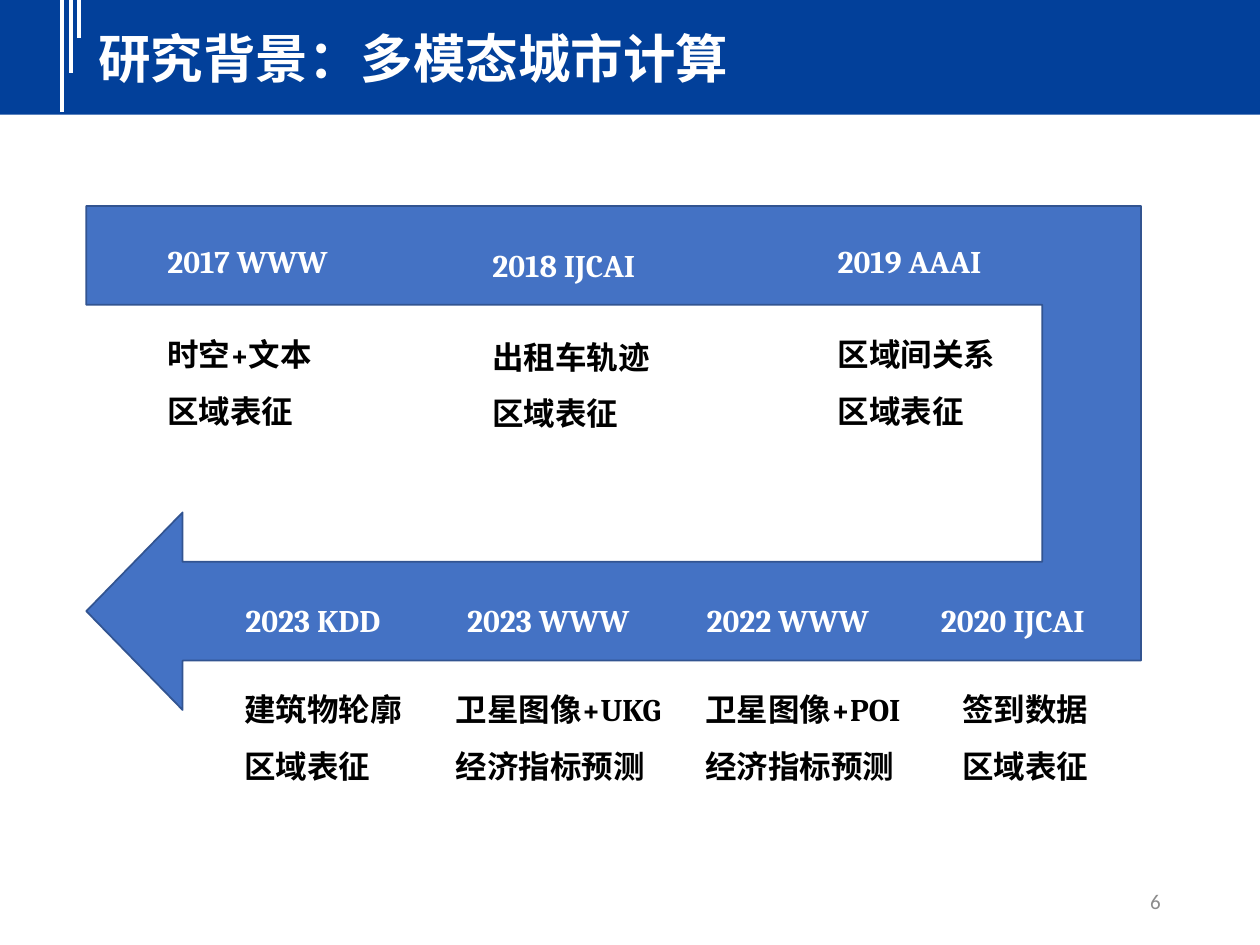
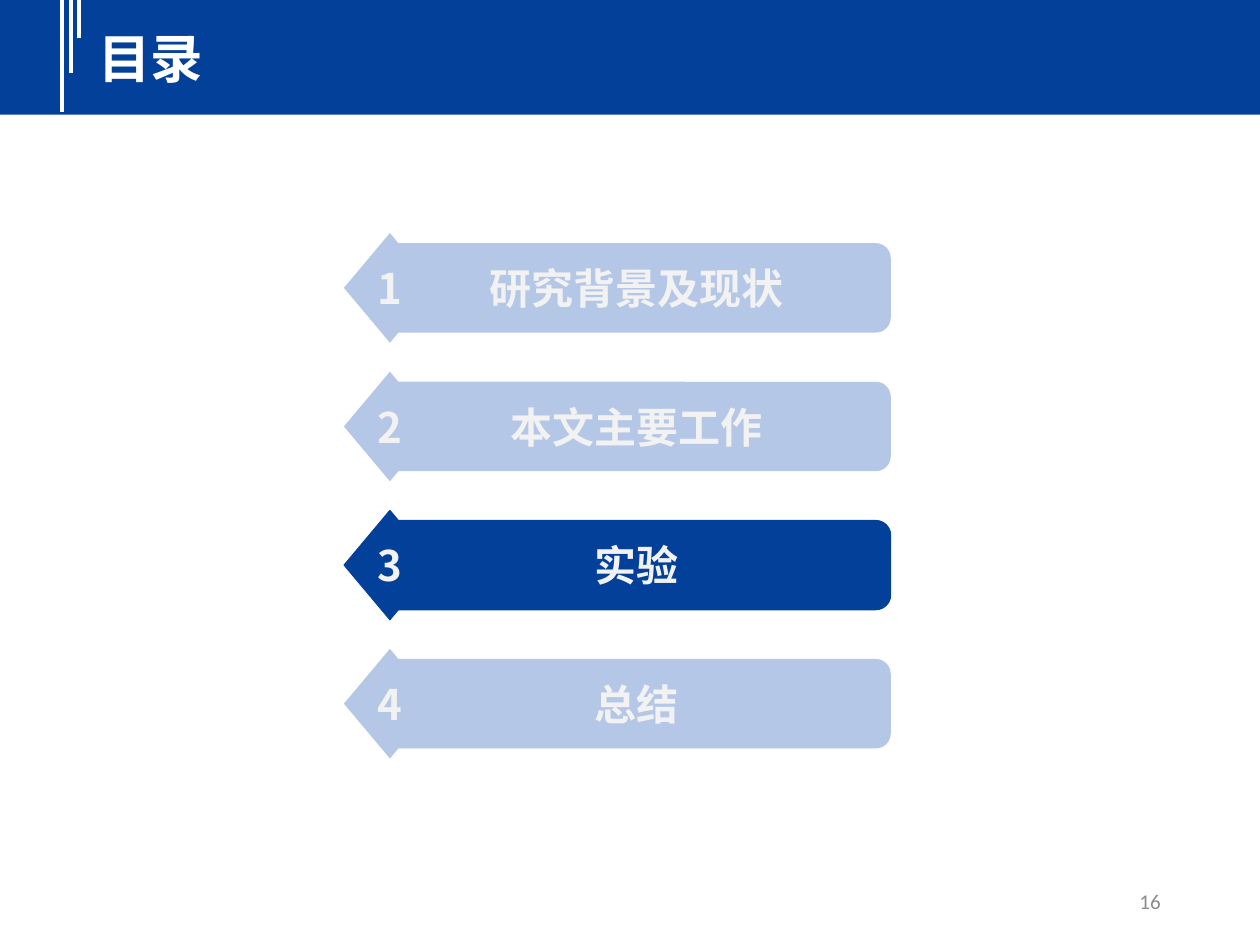
from lxml import etree
from pptx import Presentation
from pptx.dml.color import RGBColor
from pptx.enum.shapes import MSO_CONNECTOR, MSO_SHAPE
from pptx.enum.text import MSO_ANCHOR, MSO_AUTO_SIZE, PP_ALIGN
from pptx.oxml.ns import qn
from pptx.util import Pt

PX = 9144  # one px is a hundredth of an inch
RECT, ROUND = MSO_SHAPE.RECTANGLE, MSO_SHAPE.ROUNDED_RECTANGLE
DIAMOND, UTURN = MSO_SHAPE.DIAMOND, MSO_SHAPE.U_TURN_ARROW
LINE = MSO_CONNECTOR.STRAIGHT
MIDDLE, NONE = MSO_ANCHOR.MIDDLE, MSO_AUTO_SIZE.NONE
LEFT, CENTER, RIGHT = PP_ALIGN.LEFT, PP_ALIGN.CENTER, PP_ALIGN.RIGHT

HAN = "Noto Sans CJK SC"
HEX = {"navy": "02409A", "blue": "4472C4", "edge": "325491", "pale": "B4C7E7",
       "white": "FFFFFF", "light": "F2F2F2", "gray": "8C8C8C", "black": "000000"}
RGB = {name: RGBColor.from_string(code) for name, code in HEX.items()}


def write(shape, text, size, font, color, bold=True, align=LEFT):
    frame = shape.text_frame
    frame.text = text
    for para in frame.paragraphs:
        para.alignment = align
        for run in para.runs:
            run.font.size, run.font.bold = Pt(size), bold
            run.font.color.rgb = RGB[color]
            run.font.name = font
            etree.SubElement(run.font._element, qn("a:ea"), typeface=HAN)
    return frame


def draw(slide, kind, box, fill, edge=None, width=1):
    shape = slide.shapes.add_shape(kind, *[n * PX for n in box])
    shape.shadow.inherit = False
    shape.fill.solid()
    shape.fill.fore_color.rgb = RGB[fill]
    if edge:
        shape.line.color.rgb = RGB[edge]
        shape.line.width = Pt(width)
    else:
        shape.line.fill.background()
    return shape


deck = Presentation()
deck.slide_width, deck.slide_height = 1000 * PX, 750 * PX

# Shared band, stripes, title and page number
slides = []
for head, page in [("研究背景：多模态城市计算", "6"), ("目录", "16")]:
    slide = deck.slides.add_slide(deck.slide_layouts[5])
    slides.append(slide)
    draw(slide, RECT, (0, -3, 1000, 94), "navy")
    for x, end in [(49, 89), (56, 58), (63, 30)]:
        stripe = slide.shapes.add_connector(LINE, x * PX, -3 * PX, x * PX, end * PX)
        stripe.line.color.rgb = RGB["white"]
        stripe.line.width = Pt(2.25)
        etree.SubElement(stripe._element.spPr, qn("a:effectLst"))

    title = slide.shapes.title
    title.left, title.top, title.width, title.height = [n * PX for n in (68, 16, 900, 60)]
    frame = write(title, head, 30, HAN, "white")
    frame.vertical_anchor, frame.auto_size = MIDDLE, NONE
    slide.shapes._spTree.append(title._element)  # bring above the band

    foot = slide.shapes.add_textbox(*[n * PX for n in (706, 695, 225, 40)])
    frame = write(foot, page, 12, "Calibri", "gray", False, RIGHT)
    frame.vertical_anchor, frame.word_wrap = MIDDLE, True

# Slide 1: timeline along a U-turn arrow
time, menu = slides
arrow = draw(time, UTURN, (287, -55, 400, 837), "blue", "edge")
arrow.rotation = 90
for i, ratio in enumerate([0.196, 0.196, 0.191, 0, 1]):
    arrow.adjustments[i] = ratio

# venue, its left and top, then topic, its left, top and width
steps = [
    ("2017 WWW", 73, 172, "时空+文本\n区域表征", 73, 246, 194),
    ("2018 IJCAI", 331, 175, "出租车轨迹\n区域表征", 331, 248, 242),
    ("2019 AAAI", 605, 172, "区域间关系\n区域表征", 605, 246, 242),
    ("2020 IJCAI", 687, 457, "签到数据\n区域表征", 704, 528, 174),
    ("2022 WWW", 501, 457, "卫星图像+POI\n经济指标预测", 500, 528, 242),
    ("2023 WWW", 311, 457, "卫星图像+UKG\n经济指标预测", 302, 528, 242),
    ("2023 KDD", 135, 457, "建筑物轮廓\n区域表征", 134, 528, 207),
]
for venue, x, y, topic, left, top, wide in steps:
    for text, color, box in [(venue, "white", (x, y, 213, 50)),
                             (topic, "black", (left, top, wide, 96))]:
        note = time.shapes.add_textbox(*[n * PX for n in box])
        frame = write(note, text, 18, "Cambria", color)
        frame.word_wrap = True
        for para in frame.paragraphs:
            para.line_spacing = 1.5
            para._p.get_or_add_pPr().set("marL", str(50 * PX))

# Slide 2: agenda with the current part in navy
parts = ["研究背景及现状", "本文主要工作", "实验", "总结"]
for i, part in enumerate(parts):
    now = part == "实验"
    fill, edge = ("navy", "navy") if now else ("pale", None)
    y = 185 + 110 * i
    bar = draw(menu, ROUND, (304, y + 8, 403, 71), fill, edge, 0.5)
    mark = draw(menu, DIAMOND, (273, y, 73, 87), fill, edge, 0.5)
    for shape, text, font in [(bar, part, "Calibri"), (mark, str(i + 1), HAN)]:
        frame = write(shape, text, 24, font, "light", align=CENTER)
        frame.vertical_anchor, frame.word_wrap = MIDDLE, False

deck.save("out.pptx")
